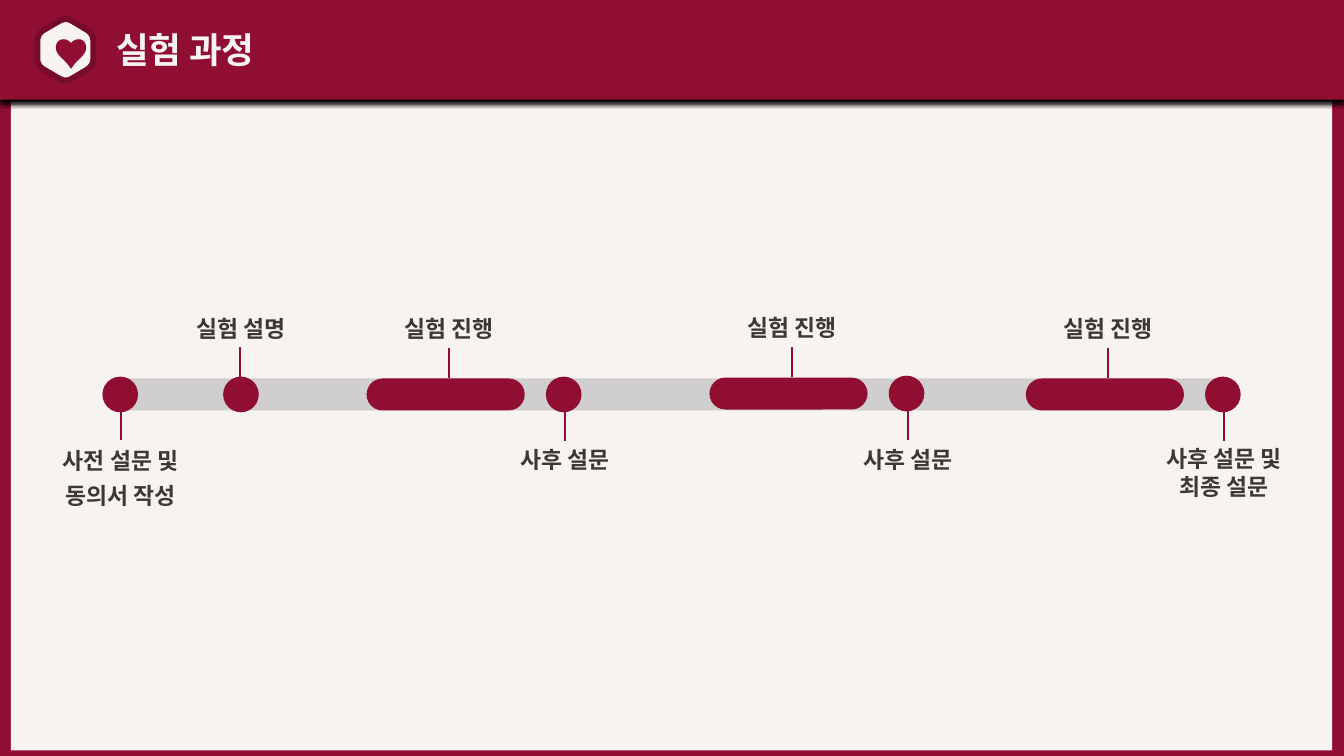
"""Build the experiment-process timeline slide."""
from dataclasses import dataclass
from math import hypot
from lxml.etree import SubElement
from pptx import Presentation
from pptx.dml.color import RGBColor
from pptx.enum.lang import MSO_LANGUAGE_ID
from pptx.enum.shapes import MSO_CONNECTOR, MSO_SHAPE
from pptx.enum.text import MSO_ANCHOR, MSO_AUTO_SIZE, PP_ALIGN
from pptx.oxml.ns import qn
from pptx.util import Pt

PX = 9144


@dataclass(frozen=True)
class Theme:
    wine: str = "900E32"
    dark_wine: str = "770B2A"
    paper: str = "F6F3F0"
    track: str = "D0CECE"
    ink: str = "3B3838"
    font: str = "Calibri"
    title: int = 28
    heart: int = 26
    label: int = 18


theme = Theme()


def write(box, text, size=theme.label, color=theme.ink, align=PP_ALIGN.CENTER,
          anchor=MSO_ANCHOR.MIDDLE, gap=0):
    frame = box.text_frame
    frame.word_wrap = True
    frame.auto_size = MSO_AUTO_SIZE.NONE
    frame.vertical_anchor = anchor
    for index, line in enumerate(text.split("\n")):
        paragraph = frame.add_paragraph() if index else frame.paragraphs[0]
        paragraph.alignment = align
        paragraph.space_before = Pt(gap if index else 0)
        run = paragraph.add_run()
        run.text = line
        run.font.name = theme.font
        run.font.size = Pt(size)
        run.font.bold = True
        run.font.color.rgb = RGBColor.from_string(color)
        run.font.language_id = MSO_LANGUAGE_ID.KOREAN
        SubElement(run._r.rPr, qn("a:ea"), typeface=theme.font)


def draw(shapes, kind, left, top, width, height, color=theme.wine):
    shape = shapes.add_shape(kind, left * PX, top * PX, width * PX, height * PX)
    shape.shadow.inherit = False
    shape.fill.solid()
    shape.fill.fore_color.rgb = RGBColor.from_string(color)
    shape.line.fill.background()
    return shape


deck = Presentation()
deck.slide_width, deck.slide_height = 1470 * PX, 827 * PX
slide = deck.slides.add_slide(deck.slide_layouts[5])
shapes = slide.shapes
slide.background.fill.solid()
slide.background.fill.fore_color.rgb = RGBColor.from_string(theme.wine)

draw(shapes, MSO_SHAPE.RECTANGLE, 12, 72, 1445, 749, theme.paper)
header = draw(shapes, MSO_SHAPE.RECTANGLE, 0, 0, 1470, 109)
header_shadow = SubElement(header._element.spPr.find(qn("a:effectLst")), qn("a:outerShdw"),
                           blurRad=str(Pt(4)), dist=str(Pt(3)), dir="5400000",
                           algn="t", rotWithShape="0")
SubElement(header_shadow, qn("a:srgbClr"), val="000000")

heading = shapes.title
heading.left, heading.top, heading.width, heading.height = (
    117 * PX, 25 * PX, 1002 * PX, 57 * PX)
write(heading, "실험 과정", size=theme.title, color=theme.paper, align=PP_ALIGN.LEFT)
header._element.addnext(heading._element)

corners = [(41, 37), (72, 19), (102, 37), (102, 72), (72, 90), (41, 72)]
outline = []
for index, (x, y) in enumerate(corners):
    ends = []
    for near_x, near_y in (corners[index - 1], corners[(index + 1) % 6]):
        share = 8 / hypot(near_x - x, near_y - y)
        ends.append((x + (near_x - x) * share, y + (near_y - y) * share))
    (from_x, from_y), (to_x, to_y) = ends
    for step in range(7):
        t = step / 6
        outline.append((
            ((1 - t) ** 2 * from_x + 2 * t * (1 - t) * x + t ** 2 * to_x) * PX,
            ((1 - t) ** 2 * from_y + 2 * t * (1 - t) * y + t ** 2 * to_y) * PX))
pen = shapes.build_freeform(*outline[0])
pen.add_line_segments(outline[1:], close=True)
badge = pen.convert_to_shape()
badge.shadow.inherit = False
badge.fill.solid()
badge.fill.fore_color.rgb = RGBColor.from_string(theme.paper)
badge.line.color.rgb = RGBColor.from_string(theme.dark_wine)
badge.line.width = Pt(4.5)
heart = shapes.add_textbox(50 * PX, 28 * PX, 43 * PX, 54 * PX)
write(heart, "♥", size=theme.heart, color=theme.wine, anchor=MSO_ANCHOR.TOP)

draw(shapes, MSO_SHAPE.ROUNDED_RECTANGLE, 132, 414, 1207, 35, theme.track)

labels = [(shapes, "사전 설문 및\n동의서 작성", 15, 483, 79, 6),
          (shapes, "실험 설명", 147, 339, 40, 0)]
stems = [(shapes, 132, 449), (shapes, 263, 380)]
for left in (112, 244):
    draw(shapes, MSO_SHAPE.OVAL, left, 412, 39, 39)

rounds = [(401, 414, "사후 설문", 483, 40),
          (776, 413, "사후 설문", 482, 40),
          (1122, 414, "사후 설문 및\n최종 설문", 481, 71)]
for left, top, survey, survey_top, survey_height in rounds:
    group = shapes.add_group_shape().shapes
    session = draw(group, MSO_SHAPE.ROUNDED_RECTANGLE, left, top, 173, 35)
    session.adjustments[0] = 0.5
    draw(group, MSO_SHAPE.OVAL, left + 196, top - 2, 39, 39)
    labels += [(group, "실험 진행", left - 27, top - 75, 40, 0),
               (group, survey, left + 100, survey_top, survey_height, 0)]
    stems += [(group, left + 90, top - 33), (group, left + 217, top + 36)]

for parent, text, left, top, height, gap in labels:
    label = parent.add_textbox(left * PX, top * PX, 234 * PX, height * PX)
    write(label, text, gap=gap)

for parent, x, top in stems:
    stem = parent.add_connector(MSO_CONNECTOR.STRAIGHT, x * PX, top * PX,
                                x * PX, (top + 32) * PX)
    stem.line.color.rgb = RGBColor.from_string(theme.wine)
    stem.line.width = Pt(1.5)
    SubElement(stem._element.spPr, qn("a:effectLst"))

deck.save("out.pptx")
